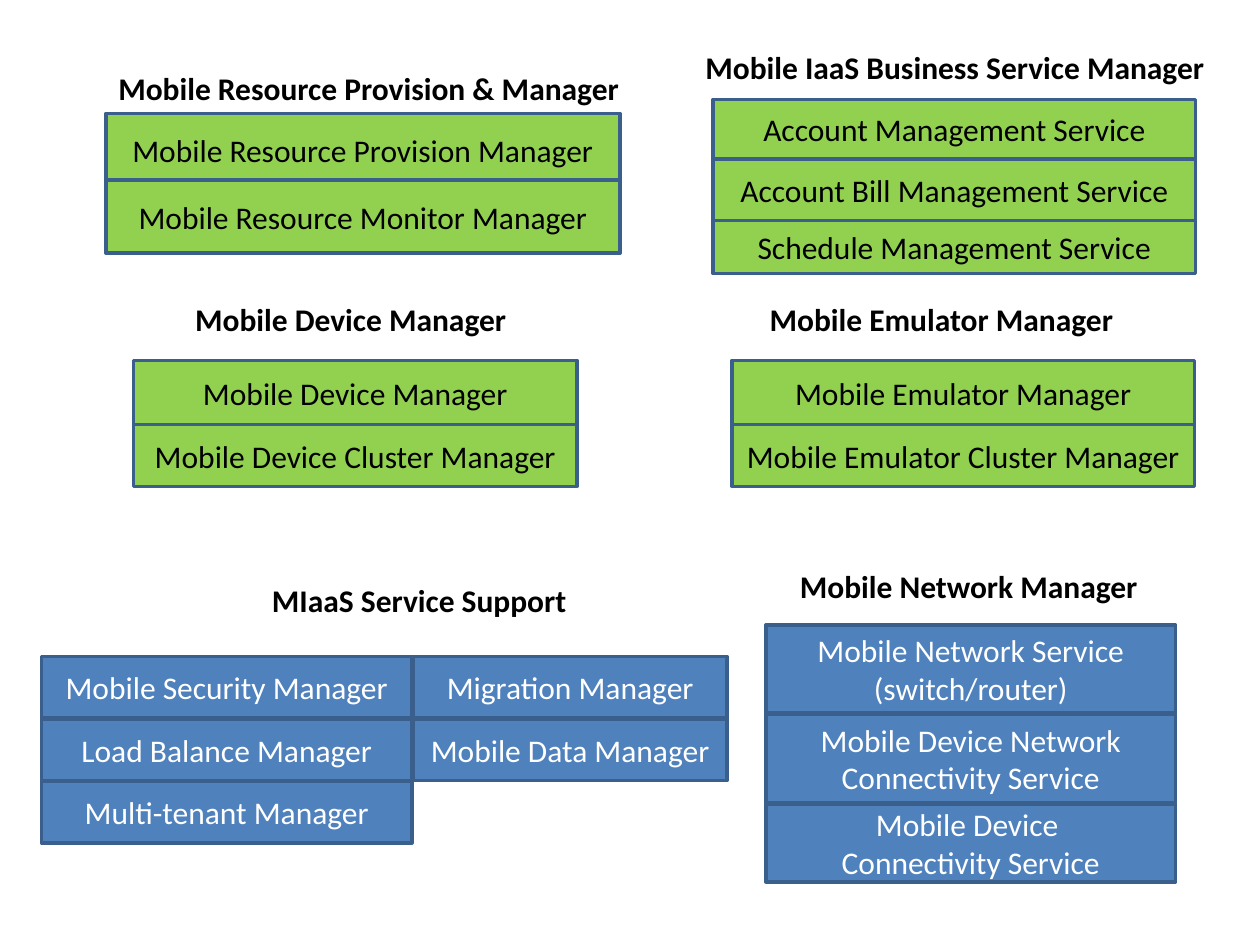
from dataclasses import dataclass

from pptx import Presentation
from pptx.dml.color import RGBColor
from pptx.enum.shapes import MSO_SHAPE
from pptx.enum.text import MSO_ANCHOR, PP_ALIGN
from pptx.shapes.autoshape import Shape
from pptx.shapes.shapetree import SlideShapes
from pptx.util import Inches, Pt

COLS, ROWS = 100, 75  # grid over the whole slide
WIDTH, HEIGHT = Inches(10), Inches(7.5)
HEX = {"green": "92D050", "blue": "4F81BD", "edge": "3A5F8C",
       "black": "000000", "white": "FFFFFF"}
INK = {"green": "black", "blue": "white"}


@dataclass
class Title:
    text: str
    col: float
    row: float
    wide: float
    filled: bool = True


@dataclass
class Stack:
    """Boxes one below the other; a negative gap makes them overlap."""
    col: float
    row: float
    wide: float
    fill: str
    highs: list[float]
    texts: list[str]
    gap: float = 0


TITLES = [
    Title("Mobile Resource Provision & Manager", 8.4, 5, 45.8),
    Title("Mobile IaaS Business Service Manager", 55, 3.3, 41.7),
    Title("Mobile Device Manager", 14.5, 23.3, 27.5),
    Title("Mobile Emulator Manager", 60.1, 23.3, 31.3),
    Title("MIaaS Service Support", 20.6, 45.6, 27.5, False),
    Title("Mobile Network Manager", 62.5, 44.5, 29.8, False),
]

STACKS = [
    Stack(8.4, 9, 40.8, "green", [5.8, 5.8],
          ["Mobile Resource Provision Manager",
           "Mobile Resource Monitor Manager"], -0.5),
    Stack(56.6, 7.9, 38.3, "green", [4.7, 4.9, 4.2],
          ["Account Management Service",
           "Account Bill Management Service",
           "Schedule Management Service"]),
    Stack(10.6, 28.6, 35.2, "green", [5.1, 4.9],
          ["Mobile Device Manager", "Mobile Device Cluster Manager"]),
    Stack(58.1, 28.6, 36.7, "green", [5.1, 4.9],
          ["Mobile Emulator Manager", "Mobile Emulator Cluster Manager"]),
    Stack(3.3, 52.1, 29.4, "blue", [4.9] * 3,
          ["Mobile Security Manager", "Load Balance Manager",
           "Multi-tenant Manager"], 0.05),
    Stack(32.8, 52.1, 24.9, "blue", [4.9] * 2,
          ["Migration Manager", "Mobile Data Manager"], 0.05),
    Stack(60.8, 49.6, 32.5, "blue", [7, 7, 6.2],
          ["Mobile Network Service (switch/router)",
           "Mobile Device Network Connectivity Service",
           "Mobile Device \nConnectivity Service"], 0.1),
]


def place(col: float, row: float, wide: float, high: float) -> list[int]:
    """Turn grid units into slide lengths."""
    return [round(col * WIDTH / COLS), round(row * HEIGHT / ROWS),
            round(wide * WIDTH / COLS), round(high * HEIGHT / ROWS)]


def paint(shape: Shape, name: str) -> None:
    shape.fill.solid()
    shape.fill.fore_color.rgb = RGBColor.from_string(HEX[name])


def write(shape: Shape, text: str, ink: str, bold: bool,
          align: PP_ALIGN) -> None:
    frame = shape.text_frame
    frame.word_wrap = True
    frame.text = text
    for para in frame.paragraphs:
        para.alignment = align
        font = para.font
        font.name, font.size, font.bold = "Calibri", Pt(18), bold
        font.color.rgb = RGBColor.from_string(HEX[ink])


def draw_title(shapes: SlideShapes, title: Title) -> None:
    label = shapes.add_textbox(*place(title.col, title.row, title.wide, 4))
    if title.filled:
        paint(label, "white")
    write(label, title.text, "black", True, PP_ALIGN.LEFT)


def draw_stack(shapes: SlideShapes, stack: Stack) -> None:
    row = stack.row
    for text, high in zip(stack.texts, stack.highs):
        box = shapes.add_shape(MSO_SHAPE.RECTANGLE,
                               *place(stack.col, row, stack.wide, high))
        box.shadow.inherit = False
        paint(box, stack.fill)
        box.line.color.rgb = RGBColor.from_string(HEX["edge"])
        box.line.width = Pt(2)
        box.text_frame.vertical_anchor = MSO_ANCHOR.MIDDLE
        write(box, text, INK[stack.fill], False, PP_ALIGN.CENTER)
        row += high + stack.gap


def main() -> None:
    deck = Presentation()
    deck.slide_width, deck.slide_height = WIDTH, HEIGHT
    shapes = deck.slides.add_slide(deck.slide_layouts[6]).shapes
    for title in TITLES:
        draw_title(shapes, title)
    for stack in STACKS:
        draw_stack(shapes, stack)
    deck.save("out.pptx")


if __name__ == "__main__":
    main()
